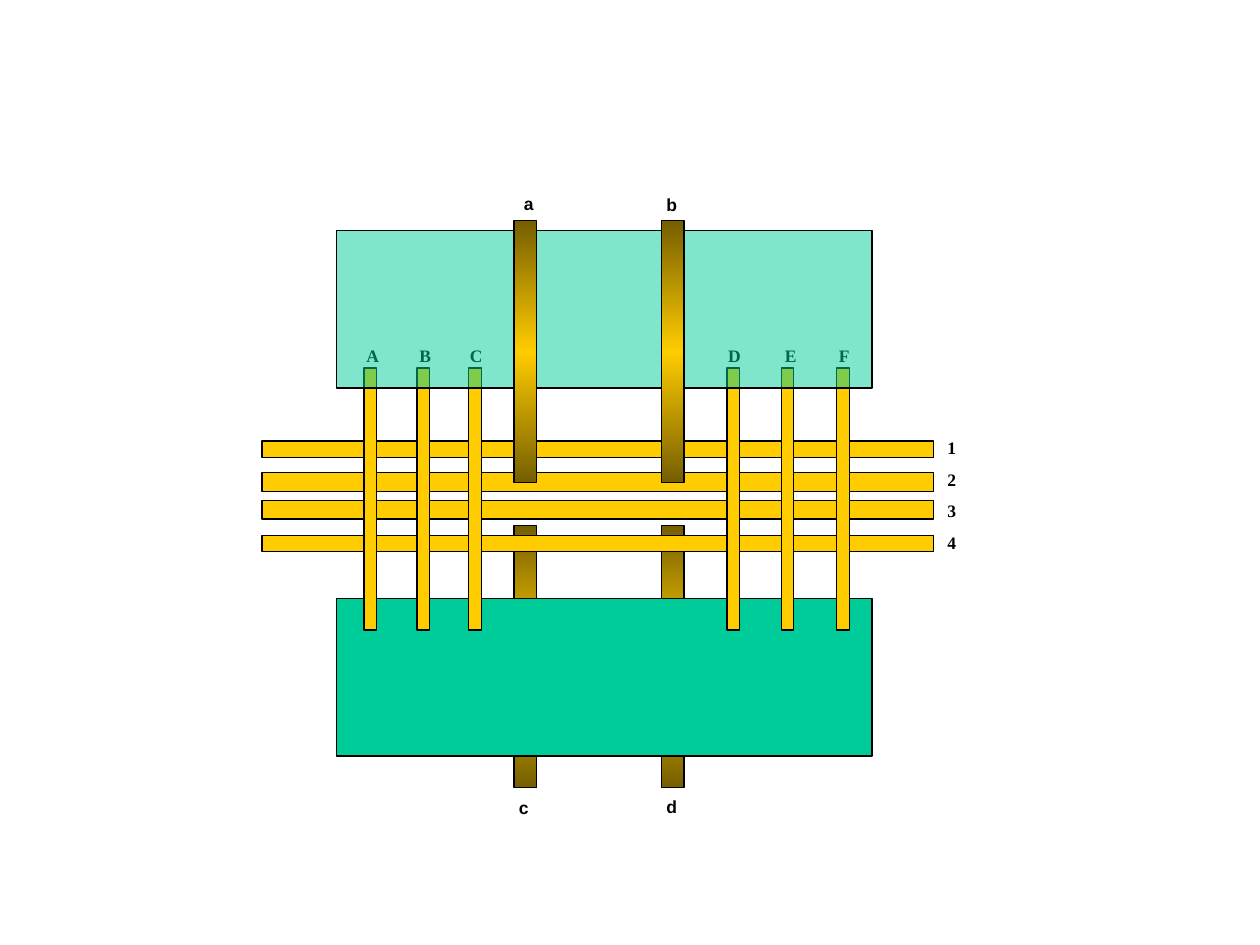
"""Build a slide of crossing bars between two green blocks."""
import copy

import pptx
import pptx.dml.color
import pptx.enum.shapes
import pptx.enum.text
import pptx.oxml.ns
import pptx.util
from pptx.util import Inches

GREEN, GOLD, BROWN, BLACK = "00CC99", "FFCC00", "755E00", "000000"
BAR_LENGTH = 2.08
WIRES = [("A", 2.81, 2.94), ("B", 3.23, 3.36), ("C", 3.63, 3.77),
         ("D", 5.68, 5.82), ("E", 6.13, 6.25), ("F", 6.56, 6.69)]
RAILS = [(3.75, 0.15), (3.97, 0.15), (3.5, 0.13), (4.25, 0.13)]
POST_CENTERS = [4.17, 5.34]
POST_LABELS = [("a", 4.06, 1.48), ("b", 5.19, 1.49),
               ("c", 4.02, 6.28), ("d", 5.19, 6.27)]


def set_color(color_format, value):
    """Set a colour from a hex string."""
    color_format.rgb = pptx.dml.color.RGBColor.from_string(value)


def add_box(slide, left, top, width, height, color):
    """Add a thin-outlined rectangle with a plain fill."""
    shape = slide.shapes.add_shape(
        pptx.enum.shapes.MSO_SHAPE.RECTANGLE,
        Inches(left), Inches(top), Inches(width), Inches(height))
    shape.shadow.inherit = False
    shape.fill.solid()
    set_color(shape.fill.fore_color, color)
    set_color(shape.line.color, BLACK)
    shape.line.width = pptx.util.Pt(0.75)
    return shape


def add_upright_bar(slide, center, middle, thickness):
    """Add a bar turned upright around its middle point."""
    shape = add_box(slide, center - BAR_LENGTH / 2, middle - thickness / 2,
                    BAR_LENGTH, thickness, GOLD)
    shape.rotation = 270
    return shape


def add_post(slide, center, middle):
    """Add an upright bar shaded from brown through gold to brown."""
    shape = add_upright_bar(slide, center, middle, 0.18)
    shape.fill.gradient()
    shape.fill.gradient_angle = 0
    stop_list = shape._element.spPr.find(".//" + pptx.oxml.ns.qn("a:gsLst"))
    stop_list.append(copy.deepcopy(stop_list[0]))
    for stop, position, color in zip(shape.fill.gradient_stops,
                                     (0, 0.5, 1), (BROWN, GOLD, BROWN)):
        stop.position = position
        set_color(stop.color, color)


def make_translucent(shape, percent):
    """Give a solid fill the stated opacity."""
    color = shape._element.spPr.find(
        pptx.oxml.ns.qn("a:solidFill") + "/" + pptx.oxml.ns.qn("a:srgbClr"))
    alpha = pptx.oxml.parse_xml(
        f'<a:alpha {pptx.oxml.ns.nsdecls("a")} val="{percent * 1000}"/>')
    color.append(alpha)


def add_label(slide, text, left, top, font_name):
    """Add a bold one-letter label."""
    box = slide.shapes.add_textbox(
        Inches(left), Inches(top), Inches(0.29), Inches(0.27))
    frame = box.text_frame
    frame.word_wrap = False
    frame.auto_size = pptx.enum.text.MSO_AUTO_SIZE.SHAPE_TO_FIT_TEXT
    run = frame.paragraphs[0].add_run()
    run.text = text
    run.font.name = font_name
    run.font.size = pptx.util.Pt(10)
    run.font.bold = True
    set_color(run.font.color, BLACK)


def main():
    """Stack the parts from back to front and save the slide."""
    presentation = pptx.Presentation()
    presentation.slide_width = Inches(10)
    presentation.slide_height = Inches(7.5)
    slide = presentation.slides.add_slide(presentation.slide_layouts[6])

    for center in POST_CENTERS:
        add_post(slide, center, 5.21)
    add_box(slide, 2.67, 4.75, 4.25, 1.25, GREEN)
    for top, height in RAILS:
        add_box(slide, 2.08, top, 5.33, height, GOLD)
    for text, left, _ in WIRES:
        add_label(slide, text, left, 2.69, "Times New Roman")
    for index in range(len(RAILS)):
        add_label(slide, str(index + 1), 7.42, 3.42 + 0.25 * index,
                  "Times New Roman")
    for _, _, center in WIRES:
        add_upright_bar(slide, center, 3.96, 0.1)
    make_translucent(add_box(slide, 2.67, 1.83, 4.25, 1.25, GREEN), 50)
    for center in POST_CENTERS:
        add_post(slide, center, 2.79)
    for text, left, top in POST_LABELS:
        add_label(slide, text, left, top, "Arial")

    presentation.save("out.pptx")


if __name__ == "__main__":
    main()
